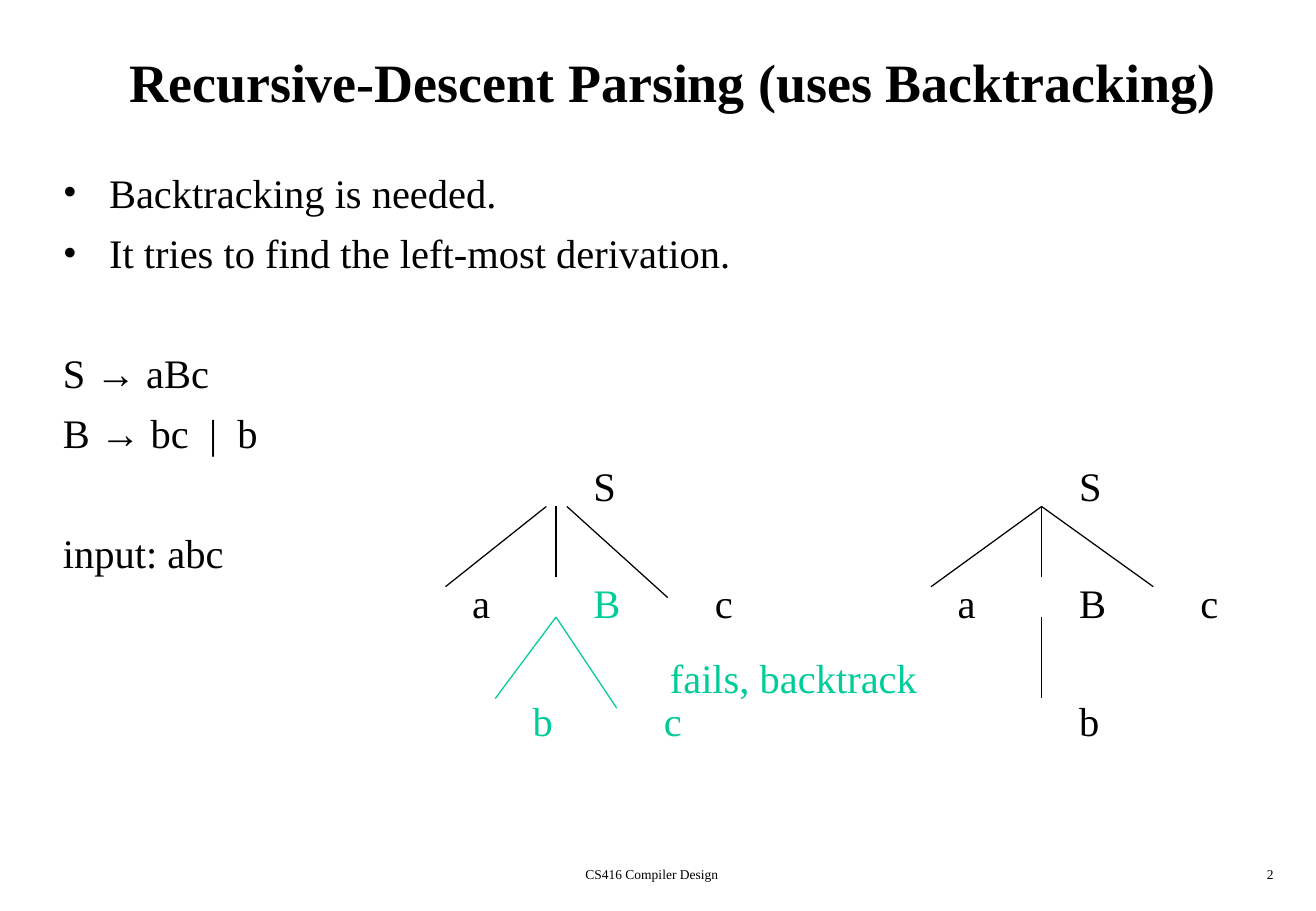
import dataclasses

import lxml.etree
import pptx
import pptx.dml.color
import pptx.enum.shapes
import pptx.enum.text
import pptx.oxml.ns
import pptx.util

Inches = pptx.util.Inches
Pt = pptx.util.Pt
Align = pptx.enum.text.PP_ALIGN
Anchor = pptx.enum.text.MSO_ANCHOR
qn = pptx.oxml.ns.qn


@dataclasses.dataclass(frozen=True)
class Theme:
    font: str = "Times New Roman"
    symbol_font: str = "Arial"
    ink: str = "000000"
    failed: str = "00CC99"
    title_size: float = 32
    body_size: float = 24
    footer_size: float = 8
    paragraph_gap: float = 7.2
    line_pitch: float = 34.8
    line_width: float = 0.75


THEME = Theme()
BODY_LEFT, BODY_TOP, BODY_WIDTH = 0.42, 1.33, 10.25
INSET = 0.1
ROOT_ROW, CHILD_ROW, LEAF_ROW = 5, 7, 9

# Node: text, left edge of the letter, text row, colour
NODES = [
    ("S", 4.89, ROOT_ROW, THEME.ink),
    ("a", 3.89, CHILD_ROW, THEME.ink),
    ("B", 4.89, CHILD_ROW, THEME.failed),
    ("c", 5.89, CHILD_ROW, THEME.ink),
    ("b", 4.39, LEAF_ROW, THEME.failed),
    ("c", 5.47, LEAF_ROW, THEME.failed),
    ("S", 8.89, ROOT_ROW, THEME.ink),
    ("a", 7.89, CHILD_ROW, THEME.ink),
    ("B", 8.89, CHILD_ROW, THEME.ink),
    ("c", 9.89, CHILD_ROW, THEME.ink),
    ("b", 8.89, LEAF_ROW, THEME.ink),
]

# Branch: start, end, colour
BRANCHES = [
    ((4.5, 4.17), (3.67, 4.83), THEME.ink),
    ((4.67, 4.17), (5.5, 4.92), THEME.ink),
    ((4.58, 4.17), (4.58, 4.75), THEME.ink),
    ((4.58, 5.08), (4.08, 5.75), THEME.failed),
    ((4.58, 5.08), (5.08, 5.83), THEME.failed),
    ((8.58, 4.17), (7.67, 4.83), THEME.ink),
    ((8.58, 4.17), (9.5, 4.83), THEME.ink),
    ((8.58, 4.17), (8.58, 4.75), THEME.ink),
    ((8.58, 5.08), (8.58, 5.75), THEME.ink),
]


def add_span(para, text, size=THEME.body_size, color=THEME.ink, font=THEME.font, bold=False):
    span = para.add_run()
    span.text = text
    span.font.name = font
    span.font.size = Pt(size)
    span.font.bold = bold
    span.font.color.rgb = pptx.dml.color.RGBColor.from_string(color)


def add_box(page, left, top, width, height):
    box = page.shapes.add_textbox(Inches(left), Inches(top), Inches(width), Inches(height))
    box.text_frame.word_wrap = True
    return box.text_frame


def add_label(page, text, left, top, width, height=0.5,
              size=THEME.body_size, color=THEME.ink, align=Align.LEFT):
    para = add_box(page, left, top, width, height).paragraphs[0]
    para.alignment = align
    add_span(para, text, size, color)


def add_branch(page, start, end, color):
    line = page.shapes.add_connector(
        pptx.enum.shapes.MSO_CONNECTOR.STRAIGHT, *map(Inches, start + end))
    line.line.color.rgb = pptx.dml.color.RGBColor.from_string(color)
    line.line.width = Pt(THEME.line_width)
    lxml.etree.SubElement(line._element.spPr, qn("a:effectLst"))


def set_bullet(para):
    properties = para._p.get_or_add_pPr()
    properties.set("marL", str(Inches(0.38)))
    properties.set("indent", str(-Inches(0.38)))
    bullet_font = lxml.etree.SubElement(properties, qn("a:buFont"))
    bullet_font.set("typeface", THEME.font)
    lxml.etree.SubElement(properties, qn("a:buChar")).set("char", "•")


def add_title(page, text):
    title = page.shapes.title
    title.left, title.top = Inches(BODY_LEFT), Inches(0.17)
    title.width, title.height = Inches(BODY_WIDTH), Inches(1)
    title.text_frame.vertical_anchor = Anchor.MIDDLE
    para = title.text_frame.paragraphs[0]
    para.alignment = Align.CENTER
    add_span(para, text, THEME.title_size, bold=True)


def add_body(page):
    frame = add_box(page, BODY_LEFT, BODY_TOP, BODY_WIDTH, 5.58)

    def next_para(skipped_lines=0):
        para = frame.add_paragraph()
        para.space_before = Pt(THEME.paragraph_gap + skipped_lines * THEME.line_pitch)
        return para

    first, second = frame.paragraphs[0], next_para()
    for para, text in ((first, "Backtracking is needed."),
                       (second, "It tries to find the left-most derivation.")):
        set_bullet(para)
        add_span(para, text)

    for symbol, production, skipped in (("S ", " aBc", 1), ("B ", " bc  |  b", 0)):
        para = next_para(skipped)
        add_span(para, symbol)
        add_span(para, "→", font=THEME.symbol_font)
        add_span(para, production)

    add_span(next_para(1), "input: abc")


def add_parse_trees(page):
    for text, left, row, color in NODES:
        top = BODY_TOP + row * THEME.line_pitch / 72
        add_label(page, text, left - INSET, top, 0.5, color=color)
    for start, end, color in BRANCHES:
        add_branch(page, start, end, color)
    add_label(page, "fails, backtrack", 5.42, 5.33, 2.4, color=THEME.failed)


def main():
    deck = pptx.Presentation()
    deck.slide_width, deck.slide_height = Inches(10.84), Inches(7.5)
    page = deck.slides.add_slide(deck.slide_layouts[5])
    add_title(page, "Recursive-Descent Parsing (uses Backtracking)")
    add_body(page)
    add_parse_trees(page)
    for text, left, width, align in (("CS416 Compiler Design", 3.34, 4.06, Align.CENTER),
                                     ("2", 8.33, 2.26, Align.RIGHT)):
        add_label(page, text, left, 7.08, width, 0.25, THEME.footer_size, align=align)
    deck.save("out.pptx")


if __name__ == "__main__":
    main()
